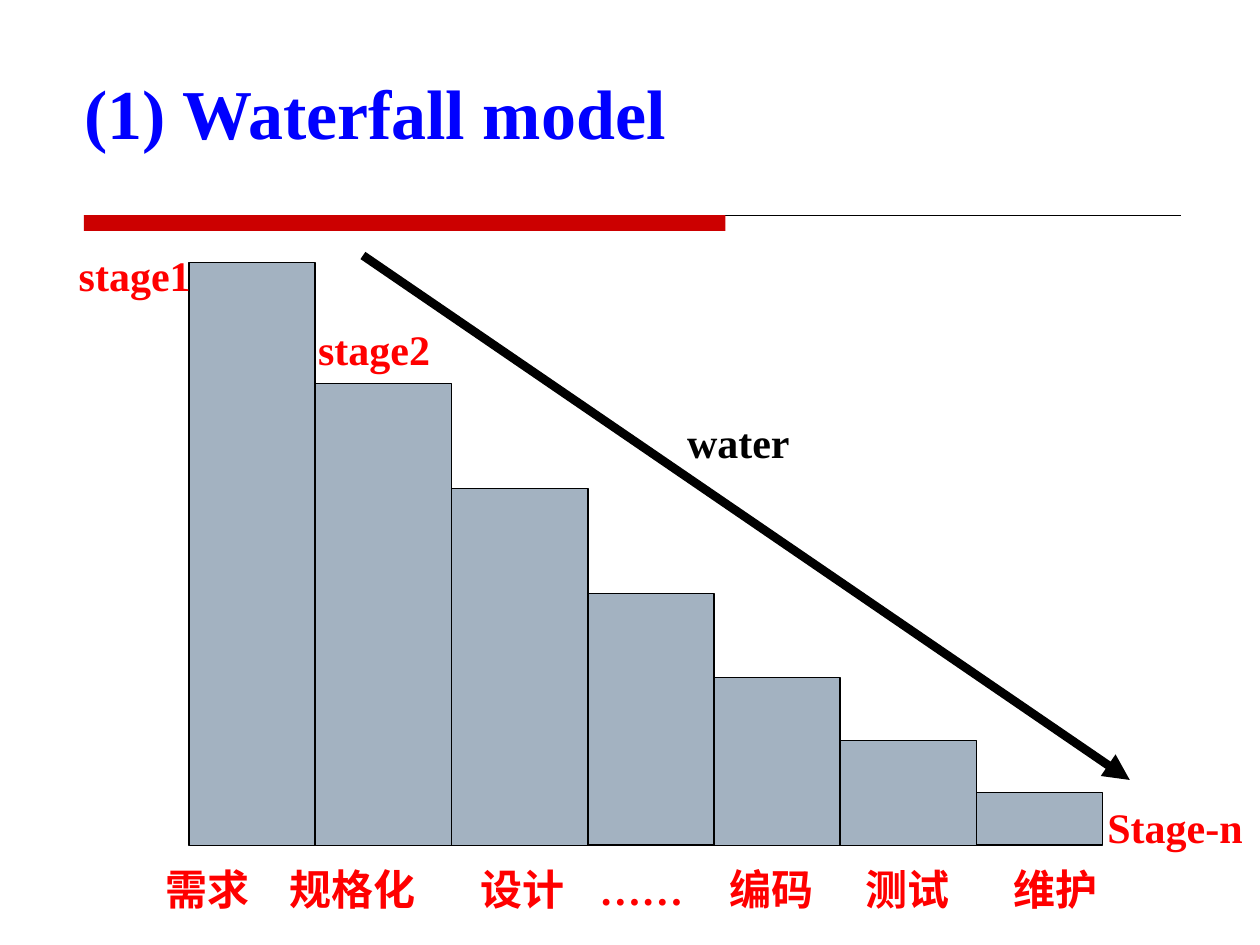
from lxml.etree import SubElement
from pptx import Presentation
from pptx.dml.color import RGBColor
from pptx.enum.shapes import MSO_CONNECTOR, MSO_SHAPE
from pptx.enum.text import MSO_ANCHOR, MSO_AUTO_SIZE, PP_ALIGN
from pptx.oxml.ns import qn
from pptx.util import Pt

FONT = "Times New Roman"
BLUE = RGBColor(0x00, 0x00, 0xFF)
RED = RGBColor(0xFF, 0x00, 0x00)
DARK_RED = RGBColor(0xCC, 0x00, 0x00)
BLACK = RGBColor(0x00, 0x00, 0x00)
STEEL = RGBColor(0xA3, 0xB2, 0xC1)

# Steps of the waterfall: width and top edge, side by side on one base line
STEPS_LEFT, STEPS_BOTTOM = 108, 483
STEPS = [(72, 150), (78, 219), (78, 279), (72, 339), (72, 387), (78, 423), (72, 453)]

# Phase names under the steps: text, left, width
PHASES_TOP = 489.6
PHASES = [
    ("需求", 87, 63.4),
    ("规格化", 157.7, 87.8),
    ("设计", 267, 63.4),
    ("……", 334.8, 63.4),
    ("编码", 409, 63.4),
    ("测试", 486.7, 63.4),
    ("维护", 559.4, 87.8),
]

# Labels beside the steps: text, left, top, width, colour
LABELS = [
    ("stage1", 37.4, 139, 79.2, RED),
    ("stage2", 174.2, 181.4, 79.2, RED),
    ("water", 385.2, 234.7, 73.4, BLACK),
    ("Stage-n", 625, 454.3, 92.9, RED),
]


def add_span(para, text, size, color):
    span = para.add_run()
    span.text = text
    span.font.name = FONT
    span.font.size = Pt(size)
    span.font.bold = True
    span.font.color.rgb = color


def set_title(page, text):
    title = page.shapes.title
    title.left, title.top, title.width, title.height = Pt(41), Pt(4.3), Pt(612), Pt(87.1)
    frame = title.text_frame
    frame.vertical_anchor = MSO_ANCHOR.BOTTOM
    frame.auto_size = MSO_AUTO_SIZE.NONE
    para = frame.paragraphs[0]
    para.alignment = PP_ALIGN.LEFT
    add_span(para, text, 40, BLUE)


def add_rectangle(page, left, top, width, height, fill, outlined=True):
    rectangle = page.shapes.add_shape(
        MSO_SHAPE.RECTANGLE, Pt(left), Pt(top), Pt(width), Pt(height))
    rectangle.shadow.inherit = False
    rectangle.fill.solid()
    rectangle.fill.fore_color.rgb = fill
    if outlined:
        rectangle.line.color.rgb = BLACK
        rectangle.line.width = Pt(0.75)
    else:
        rectangle.line.fill.background()


def add_line(page, start, end, weight, arrow=False):
    line = page.shapes.add_connector(
        MSO_CONNECTOR.STRAIGHT, *(Pt(value) for value in (*start, *end)))
    line.line.color.rgb = BLACK
    line.line.width = Pt(weight)
    if arrow:
        SubElement(line.line._get_or_add_ln(), qn("a:tailEnd"), type="triangle")
    SubElement(line._element.spPr, qn("a:effectLst"))


def add_label(page, text, left, top, width, color):
    box = page.shapes.add_textbox(Pt(left), Pt(top), Pt(width), Pt(36.7))
    frame = box.text_frame
    frame.word_wrap = False
    frame.auto_size = MSO_AUTO_SIZE.SHAPE_TO_FIT_TEXT
    para = frame.paragraphs[0]
    para.alignment = PP_ALIGN.CENTER
    add_span(para, text, 24, color)


def main():
    deck = Presentation()
    deck.slide_width, deck.slide_height = Pt(720), Pt(540)
    page = deck.slides.add_slide(deck.slide_layouts[5])

    # Title with the rule below it
    set_title(page, "(1) Waterfall model")
    add_line(page, (48, 123), (675, 123), 0.75)
    add_rectangle(page, 48, 123, 366.5, 9, DARK_RED, outlined=False)

    # Descending steps
    left = STEPS_LEFT
    for width, top in STEPS:
        add_rectangle(page, left, top, width, STEPS_BOTTOM - top, STEEL)
        left += width

    # Flow of the water
    add_line(page, (207.4, 146), (645.6, 445.7), 5, arrow=True)

    # Words
    for text, left, width in PHASES:
        add_label(page, text, left, PHASES_TOP, width, RED)
    for label in LABELS:
        add_label(page, *label)

    deck.save("out.pptx")


if __name__ == "__main__":
    main()
